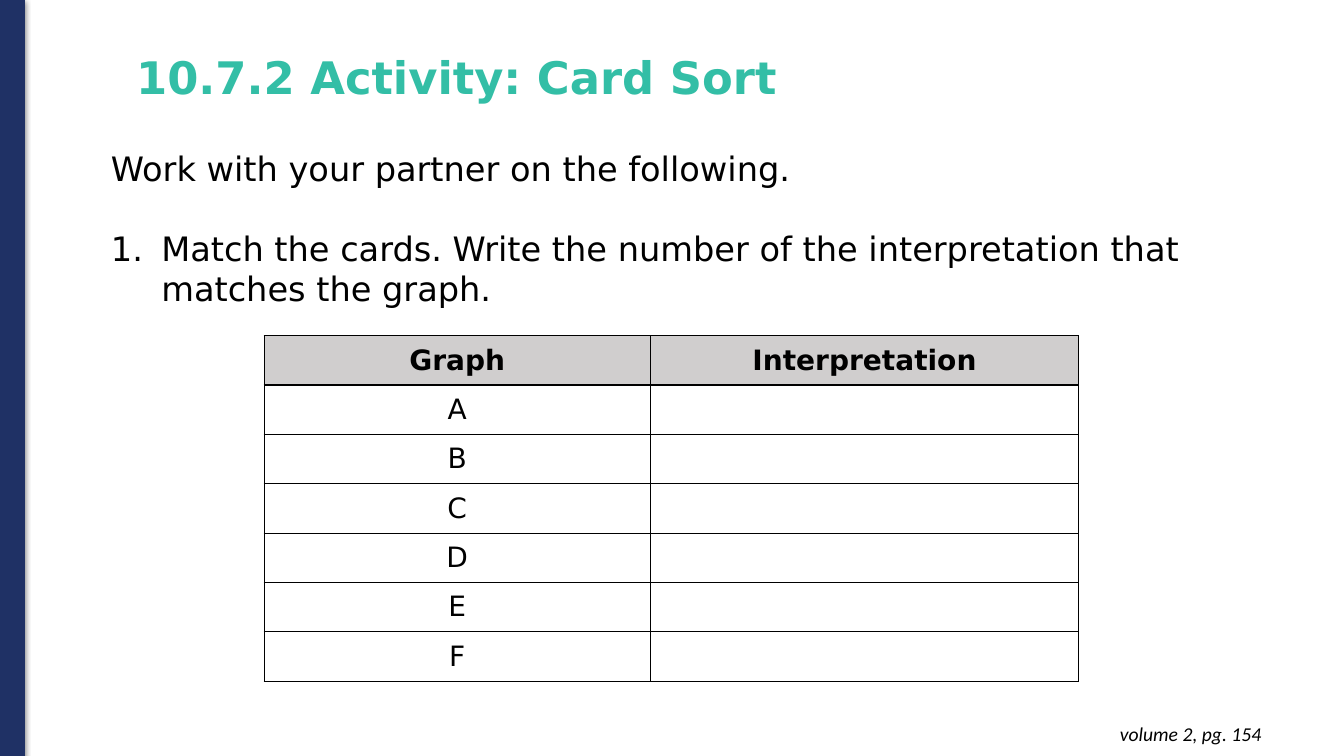
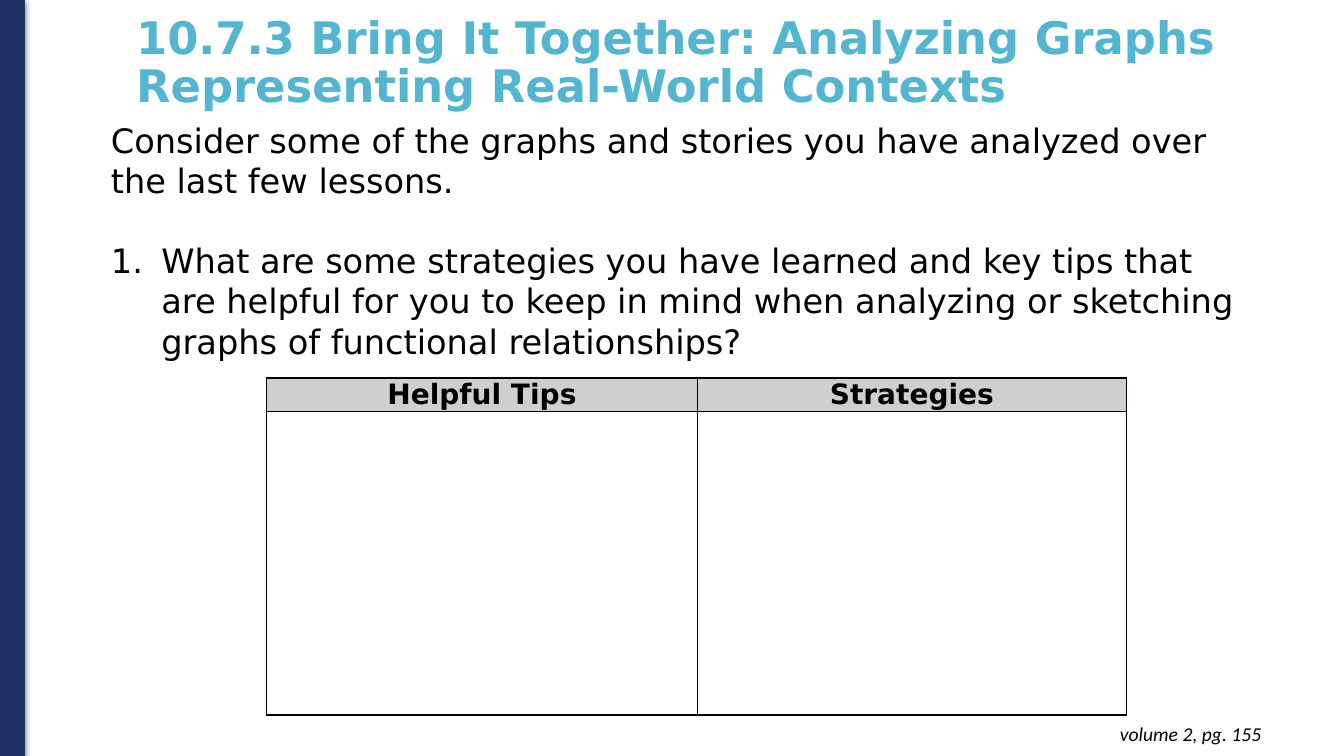
"""Build two lesson slides: a card sort and a closing discussion."""
from lxml import etree
from pptx import Presentation
from pptx.dml.color import RGBColor
from pptx.enum.shapes import MSO_SHAPE
from pptx.enum.text import MSO_ANCHOR, MSO_AUTO_SIZE, PP_ALIGN
from pptx.oxml import parse_xml
from pptx.oxml.ns import qn
from pptx.util import Pt

PX = 9144
RECTANGLE = MSO_SHAPE.RECTANGLE
TOP, MIDDLE = MSO_ANCHOR.TOP, MSO_ANCHOR.MIDDLE
LEFT, CENTER, RIGHT = PP_ALIGN.LEFT, PP_ALIGN.CENTER, PP_ALIGN.RIGHT
NO_FIT = MSO_AUTO_SIZE.NONE
NAMESPACE = 'xmlns:a="http://schemas.openxmlformats.org/drawingml/2006/main"'
NAVY, BLACK, GREY, WHITE = "1F3165", "000000", "D0CECE", "FFFFFF"

TITLE_FONT = {"name": "DejaVu Sans", "size": Pt(32), "bold": True, "italic": False}
BODY_FONT = {"name": "DejaVu Sans", "size": Pt(24), "bold": False, "italic": False}
HEADER_FONT = {"name": "DejaVu Sans", "size": Pt(20), "bold": True}
CELL_FONT = {"name": "DejaVu Sans", "size": Pt(20), "bold": False}
FOOTER_FONT = {"name": "Calibri", "size": Pt(14), "italic": True}

SHADOW = (
    f'<a:outerShdw {NAMESPACE} blurRad="57150" dist="19050" dir="5400000" '
    'algn="ctr" rotWithShape="0"><a:srgbClr val="000000">'
    '<a:alpha val="50000"/></a:srgbClr></a:outerShdw>'
)
BORDER = (
    '<a:{side} {namespace} w="12700"><a:solidFill><a:srgbClr val="{color}"/>'
    '</a:solidFill></a:{side}>'
)

SLIDES = [
    {
        "title": "10.7.2 Activity: Card Sort",
        "title_color": "33BEA6",
        "title_box": (125, 7, 877, 145),
        "body_box": (100, 142, 1150, 172),
        "intro": "Work with your partner on the following.",
        "task": "Match the cards. Write the number of the interpretation "
                "that matches the graph.",
        "footer": "volume 2, pg. 154",
        "table_at": (262, 333),
        "columns": (383, 425),
        "rows": [49] * 7,
        "cells": [("Graph", "Interpretation")] + [(letter, "") for letter in "ABCDEF"],
        "anchor": MIDDLE,
        "cell_margin": 7,
    },
    {
        "title": "10.7.3 Bring It Together: Analyzing Graphs "
                 "Representing Real-World Contexts",
        "title_color": "54B5D1",
        "title_box": (125, -9, 1150, 145),
        "body_box": (100, 114, 1150, 252),
        "intro": "Consider some of the graphs and stories you have analyzed "
                 "over the last few lessons.",
        "task": "What are some strategies you have learned and key tips that are "
                "helpful for you to keep in mind when analyzing or sketching "
                "graphs of functional relationships?",
        "footer": "volume 2, pg. 155",
        "table_at": (264, 375),
        "columns": (428, 425),
        "rows": [33, 301],
        "cells": [("Helpful Tips", "Strategies"), ("", "")],
        "anchor": TOP,
        "cell_margin": 6,
    },
]


def rgb(color):
    """Turn a hex string into a colour."""
    return RGBColor.from_string(color)


def write(para, text, values, color=BLACK, align=LEFT):
    """Add one formatted run to a paragraph."""
    para.alignment = align
    span = para.add_run()
    span.text = text
    for name, value in values.items():
        setattr(span.font, name, value)
    span.font.color.rgb = rgb(color)


deck = Presentation()
deck.slide_width, deck.slide_height = 1333 * PX, 750 * PX

for content in SLIDES:
    page = deck.slides.add_slide(deck.slide_layouts[1])
    title, body = page.placeholders
    for box, place, anchor in (
        (title, content["title_box"], MIDDLE),
        (body, content["body_box"], TOP),
    ):
        box.left, box.top, box.width, box.height = [length * PX for length in place]
        box.text_frame.auto_size = NO_FIT
        box.text_frame.word_wrap = True
        box.text_frame.vertical_anchor = anchor

    para = title.text_frame.paragraphs[0]
    para.line_spacing = 0.9
    write(para, content["title"], TITLE_FONT, content["title_color"])

    intro = body.text_frame.paragraphs[0]
    task = body.text_frame.add_paragraph()
    for para, text, indent, gap in (
        (intro, content["intro"], 0, 0),
        (task, content["task"], 50, 28),
    ):
        properties = para._p.get_or_add_pPr()
        properties.set("marL", str(indent * PX))
        properties.set("indent", str(-indent * PX))
        if indent:
            bullet_color = etree.SubElement(properties, qn("a:buClr"))
            etree.SubElement(bullet_color, qn("a:srgbClr"), val=BLACK)
            etree.SubElement(properties, qn("a:buAutoNum"), type="arabicPeriod")
        else:
            etree.SubElement(properties, qn("a:buNone"))
        para.space_before = Pt(gap)
        write(para, text, BODY_FONT)

    band = page.shapes.add_shape(RECTANGLE, 0, 0, 24 * PX, 751 * PX)
    band.fill.solid()
    band.fill.fore_color.rgb = rgb(NAVY)
    band.line.color.rgb = rgb(NAVY)
    band.line.width = Pt(0.75)
    band.shadow.inherit = False
    band._element.spPr.find(qn("a:effectLst")).append(parse_xml(SHADOW))

    footer = page.shapes.add_textbox(973 * PX, 706 * PX, 288 * PX, 44 * PX)
    frame = footer.text_frame
    frame.word_wrap = True
    for side in ("left", "top", "right", "bottom"):
        setattr(frame, f"margin_{side}", 10 * PX)
    write(frame.paragraphs[0], content["footer"], FOOTER_FONT, align=RIGHT)

    rows, columns = content["rows"], content["columns"]
    left, top = content["table_at"]
    table = page.shapes.add_table(
        len(rows), len(columns), left * PX, top * PX, sum(columns) * PX, sum(rows) * PX
    ).table
    table.horz_banding = False
    for column, width in zip(table.columns, columns):
        column.width = width * PX
    for row_index, (row, height) in enumerate(zip(table.rows, rows)):
        row.height = height * PX
        header = row_index == 0
        for cell, text in zip(row.cells, content["cells"][row_index]):
            cell.margin_left = cell.margin_right = content["cell_margin"] * PX
            cell.margin_top = cell.margin_bottom = 0
            cell.vertical_anchor = content["anchor"]
            properties = cell._tc.get_or_add_tcPr()
            for side in ("lnL", "lnR", "lnT", "lnB"):
                properties.append(parse_xml(
                    BORDER.format(side=side, namespace=NAMESPACE, color=BLACK)
                ))
            cell.fill.solid()
            cell.fill.fore_color.rgb = rgb(GREY if header else WHITE)
            if text:
                write(cell.text_frame.paragraphs[0], text,
                      HEADER_FONT if header else CELL_FONT, align=CENTER)

deck.save("out.pptx")
